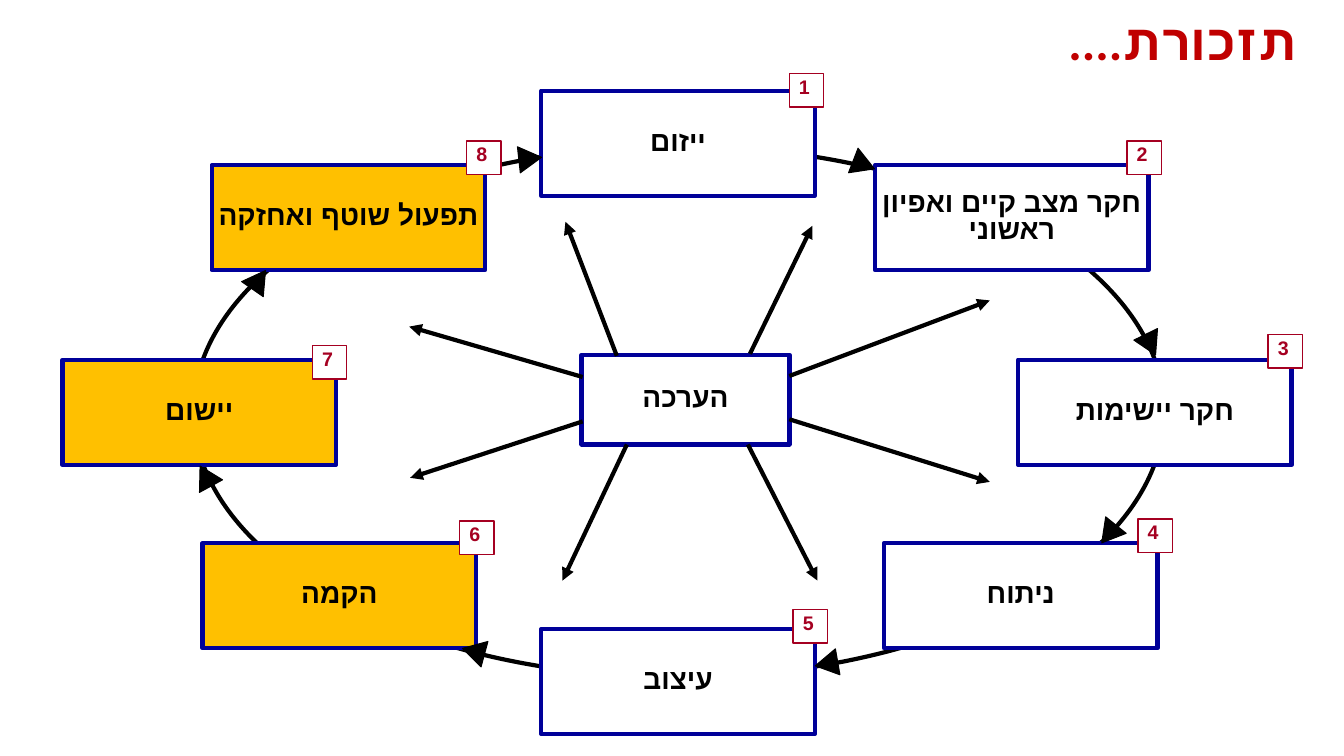
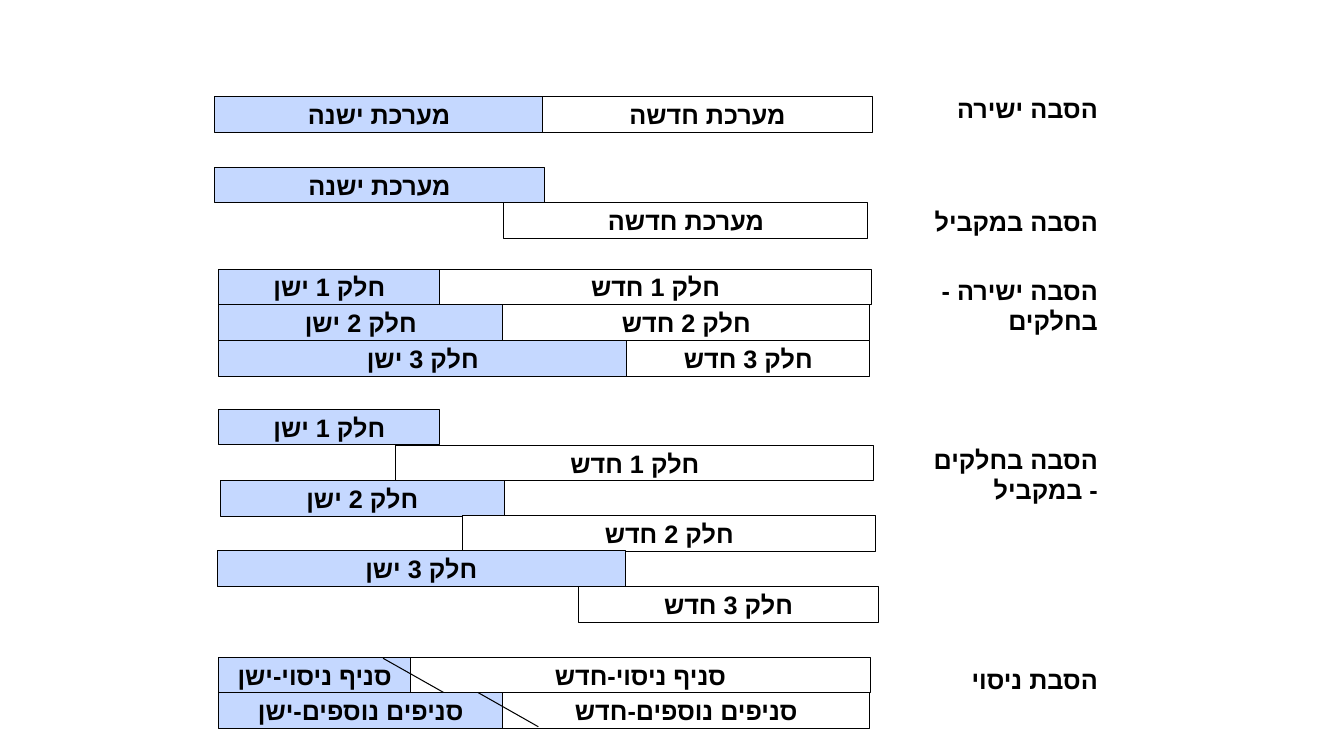
from dataclasses import dataclass
from lxml.etree import SubElement
from pptx import Presentation
from pptx.dml.color import RGBColor
from pptx.enum.shapes import MSO_CONNECTOR, MSO_SHAPE
from pptx.enum.text import MSO_ANCHOR, MSO_AUTO_SIZE, PP_ALIGN
from pptx.oxml.ns import qn
from pptx.util import Pt


@dataclass(frozen=True)
class Theme:
    black: str = "000000"
    white: str = "FFFFFF"
    title_red: str = "C00000"
    badge_red: str = "A50021"
    navy: str = "000099"
    amber: str = "FFC000"
    pale_blue: str = "C5D8FF"
    title_font: str = "Calibri"
    body_font: str = "Times New Roman"
    hebrew_font: str = "Arial"
    title_size: int = 36
    stage_size: int = 20
    body_size: int = 18
    badge_size: int = 14
    thick: float = 3
    thin: float = 0.75


theme = Theme()


def write_text(frame, text, size, color=theme.black, align=PP_ALIGN.CENTER,
               font=theme.body_font, hebrew_font=theme.hebrew_font):
    frame.text = text
    para = frame.paragraphs[0]
    para.alignment = align
    para._p.get_or_add_pPr().set("rtl", "1")
    span = para.runs[0]
    span.font.size = Pt(size)
    span.font.bold = True
    span.font.color.rgb = RGBColor.from_string(color)
    span.font.name = font
    SubElement(span._r.get_or_add_rPr(), qn("a:cs")).set("typeface", hebrew_font)
    return para


def add_box(page, kind, left, top, width, height, fill, line, weight):
    box = page.shapes.add_shape(kind, Pt(left), Pt(top), Pt(width), Pt(height))
    box.shadow.inherit = False
    if fill:
        box.fill.solid()
        box.fill.fore_color.rgb = RGBColor.from_string(fill)
    else:
        box.fill.background()
    box.line.color.rgb = RGBColor.from_string(line)
    box.line.width = Pt(weight)
    return box


deck = Presentation()
deck.slide_width, deck.slide_height = Pt(960), Pt(540)

cycle = deck.slides.add_slide(deck.slide_layouts[5])
title = cycle.shapes.title
title.left, title.top, title.width, title.height = Pt(195), Pt(-24.5), Pt(738), Pt(106.5)
title.text_frame.vertical_anchor = MSO_ANCHOR.MIDDLE
write_text(title.text_frame, "תזכורת....", theme.title_size, theme.title_red,
           PP_ALIGN.RIGHT, theme.title_font, theme.title_font)

add_box(cycle, MSO_SHAPE.OVAL, 138.2, 104.4, 693.4, 379.4, None, theme.black, theme.thick)

stage_width, stage_height = 195.4, 75
stages = [
    ("ייזום", 386.6, 64.8, theme.white, 563.8, 52.6),
    ("חקר מצב קיים ואפיון ראשוני", 625, 118, theme.white, 805, 100.8),
    ("חקר יישימות", 727.2, 257, theme.white, 905.8, 239),
    ("ניתוח", 631.4, 388, theme.white, 812.9, 370.8),
    ("עיצוב", 386.6, 449.3, theme.white, 566.6, 435.6),
    ("הקמה", 144.7, 388, theme.amber, 328.3, 372.2),
    ("יישום", 44.6, 257, theme.amber, 223.2, 247),
    ("תפעול שוטף ואחזקה", 151.2, 118, theme.amber, 333.4, 100.8),
]
stage_boxes = [(text, left, top, stage_width, stage_height, fill)
               for text, left, top, fill, *badge in stages]
stage_boxes.append(("הערכה", 415.4, 253.4, 148.5, 64.1, theme.white))
for text, left, top, width, height, fill in stage_boxes:
    box = add_box(cycle, MSO_SHAPE.RECTANGLE, left, top, width, height,
                  fill, theme.navy, theme.thick)
    frame = box.text_frame
    frame.word_wrap = True
    frame.vertical_anchor = MSO_ANCHOR.MIDDLE
    frame.margin_left = frame.margin_right = Pt(1.4)
    write_text(frame, text, theme.stage_size).line_spacing = 0.8

arrowheads = [
    (171.4, 193.7, 275), (369.4, 105.1, 83.7), (604.8, 105.8, 351.4),
    (783.4, 368.6, 338.7), (812.9, 233.3, 34.1), (584.6, 463, 20),
    (137.5, 331.9, 331.4), (333.4, 455.8, 44.9),
]
for left, top, angle in arrowheads:
    head = add_box(cycle, MSO_SHAPE.ISOSCELES_TRIANGLE, left, top, 18.7, 16.3,
                   theme.black, theme.black, theme.thin)
    head.rotation = angle

for number, (*stage, left, top) in enumerate(stages, 1):
    badge = add_box(cycle, MSO_SHAPE.RECTANGLE, left, top, 24.5, 23.8,
                    theme.white, theme.badge_red, 1)
    frame = badge.text_frame
    frame.word_wrap = True
    frame.vertical_anchor = MSO_ANCHOR.TOP
    frame.margin_left, frame.margin_right = Pt(1.4), Pt(4.3)
    frame.margin_top = frame.margin_bottom = Pt(0.7)
    write_text(frame, str(number), theme.badge_size, theme.badge_red)

conversion = deck.slides.add_slide(deck.slide_layouts[6])
old, new = theme.pale_blue, theme.white
bars = [
    ("מערכת ישנה", old, 153.4, 69.1, 234.7),
    ("מערכת חדשה", new, 387.6, 69.1, 235.4),
    ("מערכת ישנה", old, 153.4, 119.5, 235.4),
    ("מערכת חדשה", new, 360, 144.9, 260),
    ("חלק 1 ישן", old, 156.4, 192.2, 157.7),
    ("חלק 1 חדש", new, 314.1, 192.2, 308.2),
    ("חלק 2 ישן", old, 156.4, 217.6, 202.6),
    ("חלק 2 חדש", new, 359, 217.6, 262.4),
    ("חלק 3 ישן", old, 156.4, 243.2, 291.2),
    ("חלק 3 חדש", new, 447.6, 243.2, 173.8),
    ("חלק 1 ישן", old, 156.4, 292.3, 157.7),
    ("חלק 1 חדש", new, 282.8, 318, 341.3),
    ("חלק 2 ישן", old, 157.5, 343.4, 202.6),
    ("חלק 2 חדש", new, 330.4, 368.2, 295.2),
    ("חלק 3 ישן", old, 155.3, 393.4, 291.2),
    ("חלק 3 חדש", new, 413.2, 419, 214.2),
    ("סניף ניסוי-ישן", old, 156.4, 469.4, 136.8),
    ("סניף ניסוי-חדש", new, 293.2, 469.4, 328.6),
    ("סניפים נוספים-ישן", old, 156.4, 494.8, 202.6),
    ("סניפים נוספים-חדש", new, 359, 494.8, 262.4),
]
for text, fill, left, top, width in bars:
    bar = add_box(conversion, MSO_SHAPE.RECTANGLE, left, top, width, 25.5,
                  fill, theme.black, theme.thin)
    bar.text_frame.word_wrap = False
    bar.text_frame.vertical_anchor = MSO_ANCHOR.MIDDLE
    write_text(bar.text_frame, text, theme.body_size)

labels = [
    ("הסבה ישירה", 63.4, 28.8),
    ("הסבה במקביל", 144, 28.8),
    ("הסבה ישירה - בחלקים", 193, 50.4),
    ("הסבה בחלקים - במקביל", 314, 50.4),
    ("הסבת ניסוי", 470.9, 28.8),
]
for text, top, height in labels:
    label = conversion.shapes.add_textbox(Pt(650.9), Pt(top), Pt(140.4), Pt(height))
    label.text_frame.word_wrap = True
    label.text_frame.auto_size = MSO_AUTO_SIZE.SHAPE_TO_FIT_TEXT
    write_text(label.text_frame, text, theme.body_size, align=PP_ALIGN.RIGHT)

spokes = [
    (440.6, 254.2, 403.9, 158.4), (535.7, 252.7, 580.3, 161.3),
    (563.8, 268.6, 707, 214.6), (563.8, 299.5, 707, 344.2),
    (534.2, 317.5, 583.9, 414.7), (447.8, 317.5, 401.8, 414.7),
    (416.2, 301, 293, 341.3), (416.2, 269.3, 292.3, 233.3),
]
slants = [(273.6, 470.2, 316.8, 494.6), (341.3, 494.6, 384.5, 519.1)]
line_sets = [(cycle, spokes, theme.thick, True), (conversion, slants, theme.thin, False)]
for page, lines, weight, has_arrow in line_sets:
    for ends in lines:
        line = page.shapes.add_connector(MSO_CONNECTOR.STRAIGHT, *map(Pt, ends))
        line.line.color.rgb = RGBColor.from_string(theme.black)
        line.line.width = Pt(weight)
        properties = line._element.spPr
        if has_arrow:
            SubElement(properties.find(qn("a:ln")), qn("a:tailEnd")).set("type", "triangle")
        SubElement(properties, qn("a:effectLst"))

deck.save("out.pptx")
